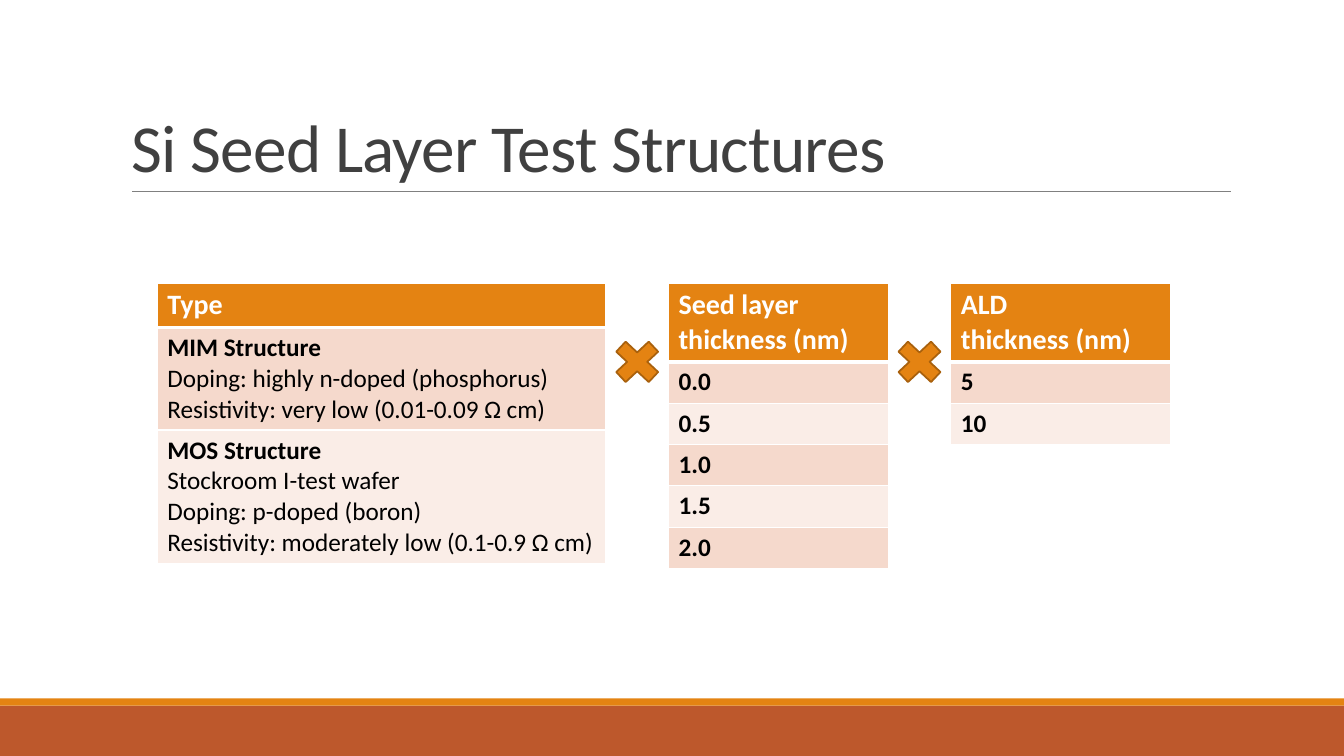
from lxml.etree import SubElement
from pptx import Presentation
from pptx.dml.color import RGBColor
from pptx.enum.shapes import MSO_CONNECTOR as CONNECTOR, MSO_SHAPE as SHAPE
from pptx.enum.text import MSO_ANCHOR as ANCHOR, MSO_AUTO_SIZE as AUTO_SIZE, PP_ALIGN as ALIGN
from pptx.oxml.ns import qn
from pptx.util import Inches, Pt

FONT = "Calibri"
ORANGE, RUST, DARK_ORANGE = "E48312", "BD582C", "A9610D"
BANDS = ["F5D9CC", "FAEDE7"]
TABLE_LEFT, TABLE_TOP, ROW_HEIGHT = 1.56, 2.81, 0.41
CROSS_TOP, CROSS_WIDTH, CROSS_HEIGHT = 3.3, 0.62, 0.58

# Each factor: column width, header lines, then the lines of each level
FACTORS = [
    (4.45, ["Type"], [
        ["MIM Structure", "Doping: highly n-doped (phosphorus)",
         "Resistivity: very low (0.01-0.09 Ω cm)"],
        ["MOS Structure", "Stockroom I-test wafer", "Doping: p-doped (boron)",
         "Resistivity: moderately low (0.1-0.9 Ω cm)"],
    ]),
    (2.18, ["Seed layer", "thickness (nm)"], [["0.0"], ["0.5"], ["1.0"], ["1.5"], ["2.0"]]),
    (2.18, ["ALD", "thickness (nm)"], [["5"], ["10"]]),
]


def rgb(color):
    return RGBColor.from_string(color)


def add_run(paragraph, text, size, color, bold=False):
    run = paragraph.add_run()
    run.text = text
    run.font.name = FONT
    run.font.size = Pt(size)
    run.font.bold = bold
    run.font.color.rgb = rgb(color)
    return run


def add_filled(slide, preset, left, top, width, height, fill, outline=None):
    shape = slide.shapes.add_shape(
        preset, Inches(left), Inches(top), Inches(width), Inches(height))
    shape.shadow.inherit = False
    shape.fill.solid()
    shape.fill.fore_color.rgb = rgb(fill)
    if outline:
        shape.line.color.rgb = rgb(outline)
        shape.line.width = Pt(1.25)
    else:
        shape.line.fill.background()


def add_rule(slide, left, right, y):
    rule = slide.shapes.add_connector(
        CONNECTOR.STRAIGHT, Inches(left), Inches(y), Inches(right), Inches(y))
    rule.line.color.rgb = rgb("808080")
    rule.line.width = Pt(0.5)
    SubElement(rule._element.spPr, qn("a:effectLst"))


def set_title(slide, text):
    title = slide.shapes.title
    title.left, title.top = Inches(1.2), Inches(0.31)
    title.width, title.height = Inches(11), Inches(1.59)
    frame = title.text_frame
    frame.word_wrap = True
    frame.auto_size = AUTO_SIZE.NONE
    frame.vertical_anchor = ANCHOR.BOTTOM
    paragraph = frame.paragraphs[0]
    paragraph.alignment = ALIGN.LEFT
    paragraph.line_spacing = 0.85
    run = add_run(paragraph, text, 48, "404040")
    run._r.get_or_add_rPr().set("spc", "-50")


def set_borders(cell, top, bottom):
    properties = cell._tc.get_or_add_tcPr()
    for side, points in (("L", 1), ("R", 1), ("T", top), ("B", bottom)):
        border = SubElement(properties, qn(f"a:ln{side}"), w=str(Pt(points)))
        fill = SubElement(border, qn("a:solidFill"))
        SubElement(fill, qn("a:srgbClr"), val="FFFFFF")


def fill_cell(cell, lines, fill, size, color, all_bold):
    cell.fill.solid()
    cell.fill.fore_color.rgb = rgb(fill)
    frame = cell.text_frame
    for index, line in enumerate(lines):
        paragraph = frame.add_paragraph() if index else frame.paragraphs[0]
        add_run(paragraph, line, size, color, bold=all_bold or index == 0)


def add_factor_table(slide, left, width, header, levels):
    row_count = len(levels) + 1
    table = slide.shapes.add_table(
        row_count, 1, Inches(left), Inches(TABLE_TOP),
        Inches(width), Inches(ROW_HEIGHT * row_count)).table
    head_cell = table.cell(0, 0)
    set_borders(head_cell, top=1, bottom=3)
    fill_cell(head_cell, header, ORANGE, 20, "FFFFFF", all_bold=True)
    for row, lines in enumerate(levels, start=1):
        level_cell = table.cell(row, 0)
        set_borders(level_cell, top=3 if row == 1 else 1, bottom=1)
        fill_cell(level_cell, lines, BANDS[(row - 1) % 2], 18, "000000", all_bold=False)


def main():
    deck = Presentation()
    deck.slide_width, deck.slide_height = Inches(13.33), Inches(7.5)
    slide = deck.slides.add_slide(deck.slide_layouts[5])

    # Footer bands, title and its rule
    add_filled(slide, SHAPE.RECTANGLE, 0, 7, 13.33, 0.5, RUST)
    add_filled(slide, SHAPE.RECTANGLE, 0, 6.93, 13.33, 0.07, ORANGE)
    add_rule(slide, 1.31, 12.21, 1.9)
    set_title(slide, "Si Seed Layer Test Structures")

    # Factor tables, with a multiplication cross filling each gap
    left = TABLE_LEFT
    for index, (width, header, levels) in enumerate(FACTORS):
        if index:
            add_filled(slide, SHAPE.MATH_MULTIPLY, left, CROSS_TOP,
                       CROSS_WIDTH, CROSS_HEIGHT, ORANGE, DARK_ORANGE)
            left += CROSS_WIDTH
        add_factor_table(slide, left, width, header, levels)
        left += width

    deck.save("out.pptx")


if __name__ == "__main__":
    main()
